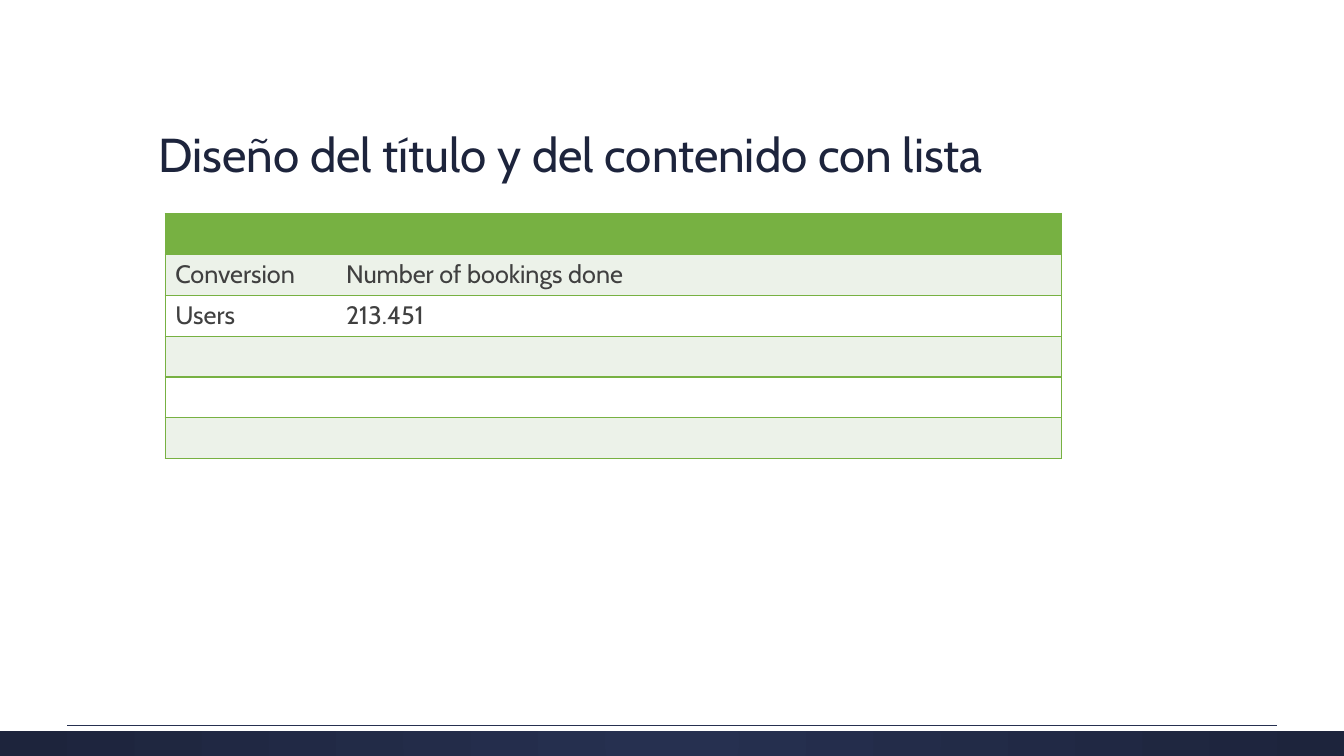
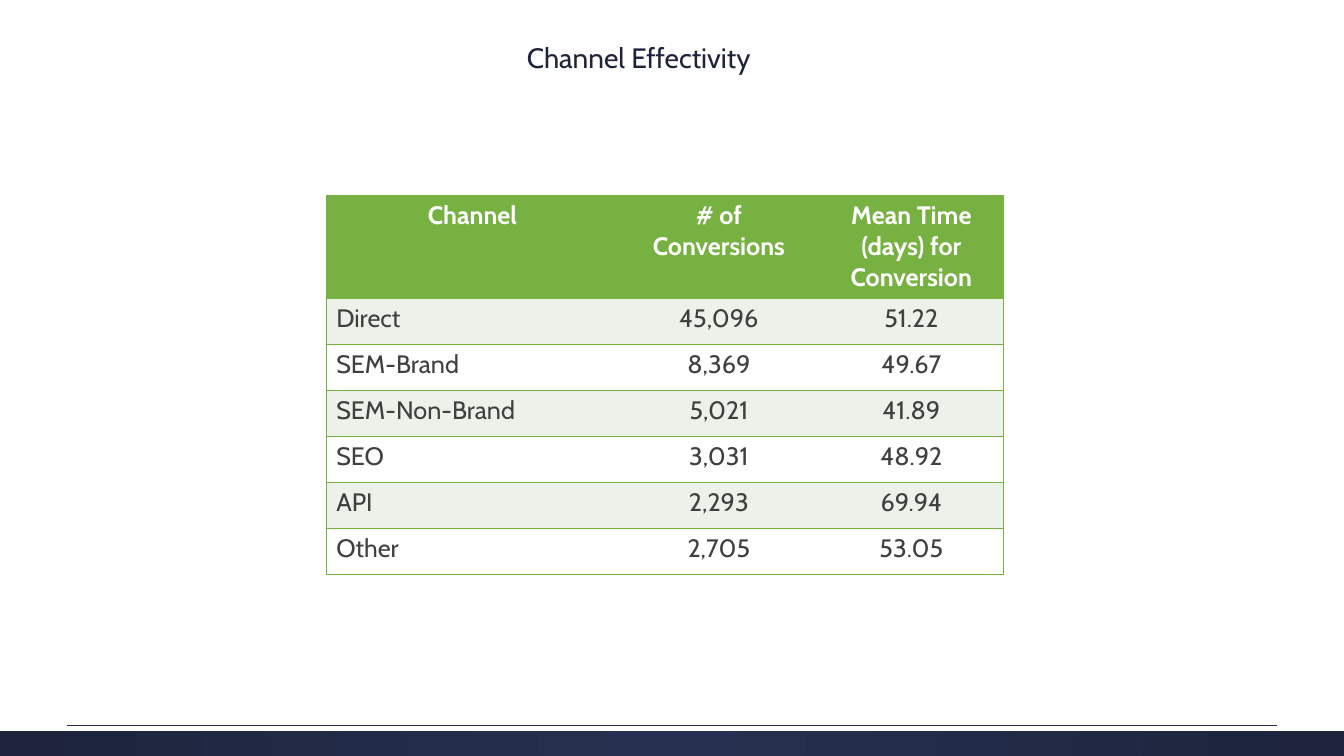
from lxml.etree import SubElement
from pptx import Presentation
from pptx.dml.color import RGBColor
from pptx.enum.shapes import MSO_CONNECTOR, MSO_SHAPE
from pptx.enum.text import MSO_ANCHOR, PP_ALIGN
from pptx.oxml.ns import qn
from pptx.util import Pt

PAGE_WIDTH, PAGE_HEIGHT = 960, 540
BAND_TOP = 518.4
FONT = "Cabin"
NAVY, NAVY_LIGHT = "1D243C", "263050"
GREEN, PALE_GREEN = "77B142", "ECF2E9"
WHITE, GRAY = "FFFFFF", "404040"


def color(code):
    """Turn a hex string into a colour."""
    return RGBColor.from_string(code)


def write(frame, text, size=18, ink=GRAY, bold=False, align=PP_ALIGN.LEFT, spacing=None):
    """Write one formatted paragraph into a text frame."""
    para = frame.paragraphs[0]
    para.alignment = align
    para.line_spacing = spacing
    span = para.add_run()
    span.text = text
    span.font.name = FONT
    span.font.size = Pt(size)
    span.font.bold = bold
    span.font.color.rgb = color(ink)


def add_band(page, top, height):
    """Add a full-width rectangle without outline or shadow."""
    band = page.shapes.add_shape(MSO_SHAPE.RECTANGLE, 0, Pt(top), Pt(PAGE_WIDTH), Pt(height))
    band.shadow.inherit = False
    band.line.fill.background()
    return band


def fill_radial(shape, center, edge):
    """Fill a shape with a circular gradient."""
    shape.fill.gradient()
    for stop, code in zip(shape.fill.gradient_stops, (center, edge)):
        stop.color.rgb = color(code)
    gradient = shape.element.spPr.find(qn("a:gradFill"))
    gradient.remove(gradient.find(qn("a:lin")))
    circle = SubElement(gradient, qn("a:path"), path="circle")
    SubElement(circle, qn("a:fillToRect"), l="50000", t="50000", r="50000", b="50000")


def add_footer(page):
    """Add the footer band with its white strip and thin rule."""
    fill_radial(add_band(page, BAND_TOP, PAGE_HEIGHT - BAND_TOP), NAVY_LIGHT, NAVY)
    strip = add_band(page, BAND_TOP, 3.6)
    strip.fill.solid()
    strip.fill.fore_color.rgb = color(WHITE)
    rule = page.shapes.add_connector(
        MSO_CONNECTOR.STRAIGHT, Pt(48), Pt(BAND_TOP), Pt(PAGE_WIDTH - 48), Pt(BAND_TOP))
    rule.line.width = Pt(0.75)
    rule.line.color.rgb = color(NAVY_LIGHT)
    SubElement(rule.element.spPr, qn("a:effectLst"))


def add_title(page, text, left, top, width, height, **style):
    """Add a title that sits on the bottom of its box."""
    box = page.shapes.add_textbox(Pt(left), Pt(top), Pt(width), Pt(height))
    box.text_frame.word_wrap = True
    box.text_frame.vertical_anchor = MSO_ANCHOR.BOTTOM
    write(box.text_frame, text, ink=NAVY, spacing=0.9, **style)


def set_borders(cell, visible):
    """Draw the visible sides of a cell in green and clear the others."""
    properties = cell._tc.get_or_add_tcPr()
    for side in "LRTB":
        line = SubElement(properties, qn(f"a:ln{side}"), w=str(Pt(1)))
        if side in visible:
            fill = SubElement(line, qn("a:solidFill"))
            SubElement(fill, qn("a:srgbClr"), val=GREEN)
        else:
            SubElement(line, qn("a:noFill"))


def add_data_table(page, rows, left, top, widths, heights, aligns):
    """Add a banded table with a green header and horizontal rules."""
    frame = page.shapes.add_table(
        len(rows), len(widths), Pt(left), Pt(top), Pt(sum(widths)), Pt(sum(heights)))
    table = frame.table
    for column, width in zip(table.columns, widths):
        column.width = Pt(width)
    for row_index, (texts, height) in enumerate(zip(rows, heights)):
        header = row_index == 0
        table.rows[row_index].height = Pt(height)
        background = GREEN if header else PALE_GREEN if row_index % 2 else WHITE
        for column_index, (text, align) in enumerate(zip(texts, aligns)):
            cell = table.cell(row_index, column_index)
            sides = "TB"
            if column_index == 0:
                sides += "L"
            if column_index == len(widths) - 1:
                sides += "R"
            set_borders(cell, sides)
            cell.fill.solid()
            cell.fill.fore_color.rgb = color(background)
            if text:
                write(cell.text_frame, text, ink=WHITE if header else GRAY, bold=header,
                      align=PP_ALIGN.CENTER if header else align)


def add_page(deck):
    """Add a blank page with the shared footer."""
    page = deck.slides.add_slide(deck.slide_layouts[6])
    add_footer(page)
    return page


def add_summary_page(deck):
    """Build the page with the booking summary."""
    page = add_page(deck)
    add_title(page, "Diseño del título y del contenido con lista", 106, 36.5, 749, 97.5, size=34)
    empty = ("", "")
    rows = [empty, ("Conversion", "Number of bookings done"), ("Users", "213.451"),
            empty, empty, empty]
    add_data_table(page, rows, 118, 152.5, (122, 518), [29.2] * len(rows), [PP_ALIGN.LEFT] * 2)


def add_channel_page(deck):
    """Build the page that compares the channels."""
    page = add_page(deck)
    rows = [
        ("Channel", "# of Conversions", "Mean Time (days) for Conversion"),
        ("Direct", "45,096", "51.22"),
        ("SEM-Brand", "8,369", "49.67"),
        ("SEM-Non-Brand", "5,021", "41.89"),
        ("SEO", "3,031", "48.92"),
        ("API", "2,293", "69.94"),
        ("Other", "2,705", "53.05"),
    ]
    add_data_table(page, rows, 233, 139.5, (209, 143, 132), [73.5] + [32.9] * (len(rows) - 1),
                   (PP_ALIGN.LEFT, PP_ALIGN.CENTER, PP_ALIGN.CENTER))
    add_title(page, "Channel Effectivity", 101, 22.5, 710.5, 34.5, size=20, align=PP_ALIGN.CENTER)


def main():
    """Build and save the deck."""
    deck = Presentation()
    deck.slide_width, deck.slide_height = Pt(PAGE_WIDTH), Pt(PAGE_HEIGHT)
    add_summary_page(deck)
    add_channel_page(deck)
    deck.save("out.pptx")


if __name__ == "__main__":
    main()
